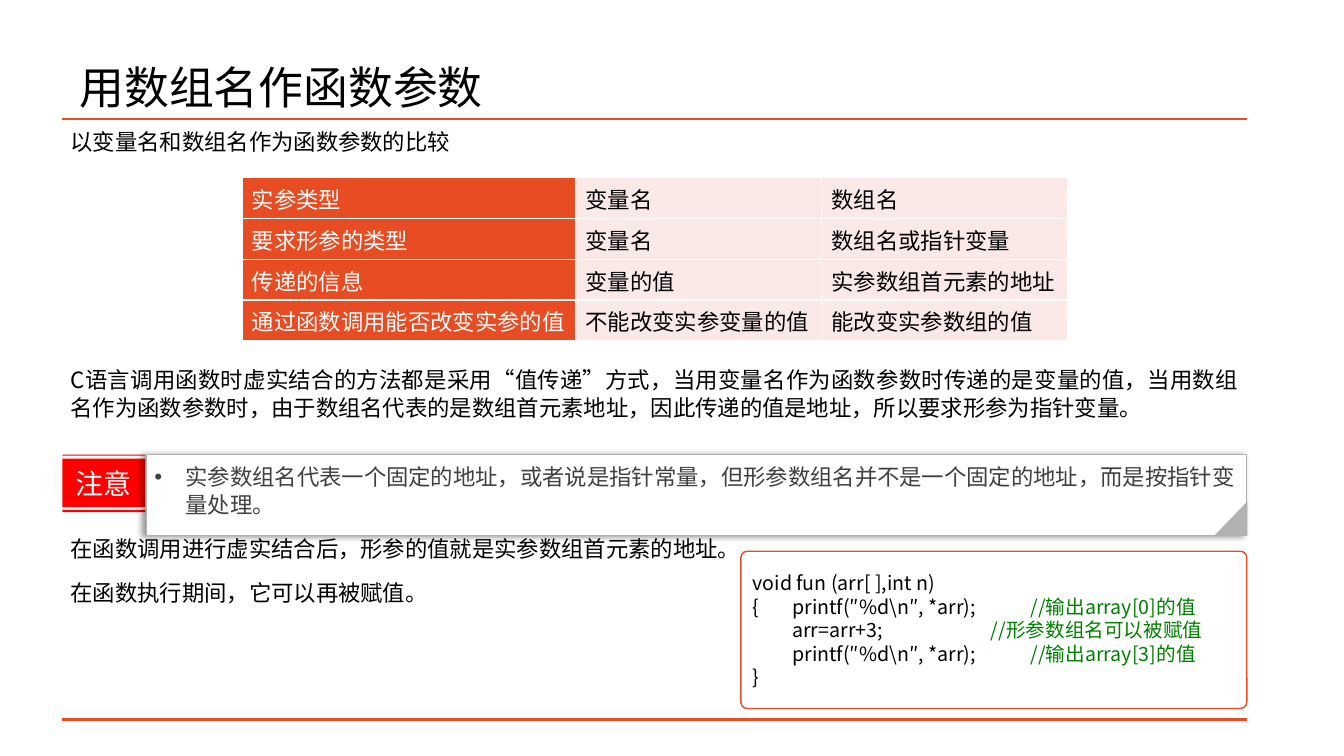
import pptx
import pptx.util
import pptx.dml.color
import pptx.enum.shapes
import pptx.enum.text
import pptx.oxml.ns
import lxml.etree

Pt = pptx.util.Pt
SHAPE = pptx.enum.shapes.MSO_SHAPE
ALIGN = pptx.enum.text.PP_ALIGN
ANCHOR = pptx.enum.text.MSO_ANCHOR
qn = pptx.oxml.ns.qn
FONT = "Noto Sans CJK SC"
COLORS = {
    "orange": "E84C22", "pink": "FBE9E8", "red": "FF0000", "gray": "B2B2B2",
    "black": "000000", "white": "FFFFFF", "paper": "FEFFFF",
    "slate": "404040", "green": "008000",
}
rgb = {name: pptx.dml.color.RGBColor.from_string(code) for name, code in COLORS.items()}


def write(para, spans, size, **formats):
    for name, value in formats.items():
        setattr(para, name, value)
    for text, color in spans:
        span = para.add_run()
        span.text = text
        for name, value in {"size": Pt(size), "name": FONT}.items():
            setattr(span.font, name, value)
        span.font.color.rgb = rgb[color]
        properties = span.font._element
        properties.set("lang", "zh-CN")
        lxml.etree.SubElement(properties, qn("a:ea"), typeface=FONT)


def style(shape, fill, line=None, width=1):
    shape.shadow.inherit = False
    shape.fill.solid()
    shape.fill.fore_color.rgb = rgb[fill]
    if line:
        shape.line.color.rgb = rgb[line]
        shape.line.width = Pt(width)
    else:
        shape.line.fill.background()


deck = pptx.Presentation()
deck.slide_width, deck.slide_height = Pt(960), Pt(540)
page = deck.slides.add_slide(deck.slide_layouts[6])
shapes = page.shapes

title = shapes.add_textbox(Pt(49.7), Pt(26.6), Pt(828), Pt(74.9)).text_frame
title.word_wrap = True
title.vertical_anchor = ANCHOR.MIDDLE
write(title.paragraphs[0], [("用数组名作函数参数", "black")], 32, line_spacing=0.9)

for y in (85, 514):
    rule = shapes.add_connector(
        pptx.enum.shapes.MSO_CONNECTOR.STRAIGHT, Pt(44.6), Pt(y), Pt(890.6), Pt(y))
    rule.line.color.rgb = rgb["orange"]
    rule.line.width = Pt(2)
    lxml.etree.SubElement(rule._element.spPr, qn("a:effectLst"))

body = shapes.add_textbox(Pt(44.6), Pt(85), Pt(846.4), Pt(429)).text_frame
body_texts = [
    (0, "以变量名和数组名作为函数参数的比较"),
    (150.4, "C语言调用函数时虚实结合的方法都是采用“值传递”方式，当用变量名作为函数参数时传递的是变量的值，"
            "当用数组名作为函数参数时，由于数组名代表的是数组首元素地址，因此传递的值是地址，所以要求形参为指针变量。"),
    (81.5, "在函数调用进行虚实结合后，形参的值就是实参数组首元素的地址。"),
    (11.1, "在函数执行期间，它可以再被赋值。"),
]
for index, (gap, text) in enumerate(body_texts):
    para = body.add_paragraph() if index else body.paragraphs[0]
    write(para, [(text, "black")], 16, alignment=ALIGN.JUSTIFY,
          line_spacing=1.03, space_before=Pt(gap), space_after=Pt(0))

rows = [
    ("实参类型", "变量名", "数组名"),
    ("要求形参的类型", "变量名", "数组名或指针变量"),
    ("传递的信息", "变量的值", "实参数组首元素的地址"),
    ("通过函数调用能否改变实参的值", "不能改变实参变量的值", "能改变实参数组的值"),
]
table = shapes.add_table(4, 3, Pt(172.8), Pt(126.7), Pt(589.7), Pt(116.8)).table
for column, width in zip(table.columns, (238.3, 175.7, 175.7)):
    column.width = Pt(width)
for row, texts in zip(table.rows, rows):
    row.height = Pt(29.2)
    for index, (cell, text) in enumerate(zip(row.cells, texts)):
        write(cell.text_frame.paragraphs[0],
              [(text, "black" if index else "white")], 16)
        properties = cell._tc.get_or_add_tcPr()
        for side in ("a:lnL", "a:lnR", "a:lnT", "a:lnB"):
            border = lxml.etree.SubElement(properties, qn(side), w="12700")
            paint = lxml.etree.SubElement(border, qn("a:solidFill"))
            lxml.etree.SubElement(paint, qn("a:srgbClr"), val=COLORS["white"])
        cell.fill.solid()
        cell.fill.fore_color.rgb = rgb["pink" if index else "orange"]

left, right = Pt(44.6), Pt(103.7)
bands = [(Pt(top), Pt(bottom)) for top, bottom in
         ((324.7, 325.4), (327.6, 362.2), (364.3, 365.8))]
builder = shapes.build_freeform(left, bands[0][0])
for top, bottom in bands:
    builder.move_to(left, top)
    builder.add_line_segments([(right, top), (right, bottom), (left, bottom)], close=True)
label = builder.convert_to_shape()
style(label, "red")
label.text_frame.vertical_anchor = ANCHOR.MIDDLE
write(label.text_frame.paragraphs[0], [("注意", "paper")], 20, alignment=ALIGN.CENTER)

note = shapes.add_shape(SHAPE.RECTANGLE, Pt(104.4), Pt(324.7), Pt(786.2), Pt(57.6))
style(note, "paper", "gray", 0.75)
effects = note._element.spPr.find(qn("a:effectLst"))
shadow = lxml.etree.SubElement(effects, qn("a:outerShdw"), blurRad=str(Pt(4)),
                               dist=str(Pt(3)), dir="10800000", rotWithShape="0")
tint = lxml.etree.SubElement(shadow, qn("a:srgbClr"), val=COLORS["black"])
lxml.etree.SubElement(tint, qn("a:alpha"), val="40000")
note.text_frame.vertical_anchor = ANCHOR.TOP
for frame in (body, note.text_frame):
    for name, value in {"word_wrap": True, "margin_left": Pt(5.8), "margin_right": Pt(5.8),
                        "margin_top": Pt(5.8), "margin_bottom": Pt(5.8)}.items():
        setattr(frame, name, value)
para = note.text_frame.paragraphs[0]
write(para, [("实参数组名代表一个固定的地址，或者说是指针常量，但形参数组名并不是一个固定的地址，"
              "而是按指针变量处理。", "slate")], 16, alignment=ALIGN.LEFT, line_spacing=1.03)
properties = para._p.get_or_add_pPr()
properties.set("marL", str(Pt(22.3)))
properties.set("indent", str(Pt(-22.3)))
lxml.etree.SubElement(properties, qn("a:buFont"), typeface="Arial")
lxml.etree.SubElement(properties, qn("a:buChar"), char="•")

corner = shapes.add_shape(SHAPE.RIGHT_TRIANGLE, Pt(867.6), Pt(358.6), Pt(23.8), Pt(23))
corner.rotation = 270
style(corner, "gray")

code = shapes.add_shape(SHAPE.ROUNDED_RECTANGLE, Pt(529.2), Pt(393.8), Pt(361.4), Pt(112.3))
code.adjustments[0] = 0.04
style(code, "white", "orange")
code.text_frame.word_wrap = True
code.text_frame.vertical_anchor = ANCHOR.MIDDLE
code_lines = [
    ("void fun (arr[ ],int n)", ""),
    ("{\tprintf(″%d\\n″, *arr);\t\t", "//输出array[0]的值"),
    ("\tarr=arr+3;\t\t\t", "//形参数组名可以被赋值"),
    ("\tprintf(″%d\\n″, *arr);\t\t", "//输出array[3]的值"),
    ("}", ""),
]
for index, (statement, remark) in enumerate(code_lines):
    para = code.text_frame.add_paragraph() if index else code.text_frame.paragraphs[0]
    spans = [(statement, "black")] + ([(remark, "green")] if remark else [])
    write(para, spans, 14, alignment=ALIGN.JUSTIFY, line_spacing=1.0)
    stops = lxml.etree.SubElement(para._p.get_or_add_pPr(), qn("a:tabLst"))
    for step in range(1, 9):
        lxml.etree.SubElement(stops, qn("a:tab"), pos=str(Pt(28.35 * step)), algn="l")

deck.save("out.pptx")
